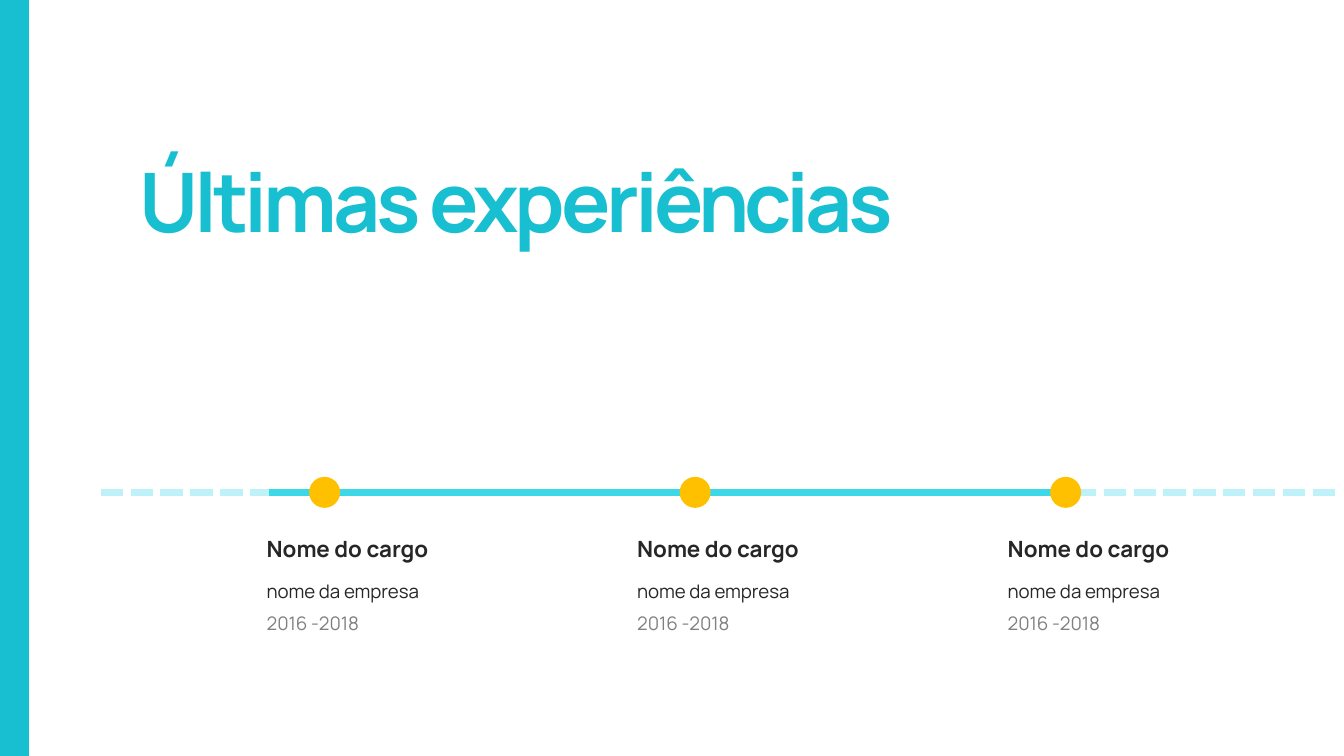
import pptx
import pptx.dml.color
import pptx.enum.dml
import pptx.enum.shapes
import pptx.enum.text
import pptx.oxml.ns
import pptx.util
from lxml import etree

TITLE = "Últimas experiências"
EXPERIENCES = [
    ("Nome do cargo", "nome da empresa", "2016 -2018"),
    ("Nome do cargo", "nome da empresa", "2016 -2018"),
    ("Nome do cargo", "nome da empresa", "2016 -2018"),
]
THEME = {
    "font": "Manrope",
    "accent": "18BFD1", "line": "3CD8E8", "faded": "BEF2F8", "dot": "FFC000",
    "text": "262626", "muted": "808080",
    "title_size": 44, "role_size": 12, "detail_size": 10,
}
# top, width, height, size, colour, bold
ROWS = [
    (276.5, 138, 27.4, "role_size", "text", True),
    (301.6, 125, 23.8, "detail_size", "text", False),
    (319, 125, 23.8, "detail_size", "muted", False),
]
SEGMENTS = [(575.3, 718.6, "faded", True), (54, 144, "faded", True), (144, 571, "line", False)]
AXIS_Y, PITCH, TEXT_LEFT, DOT_CENTER, DOT_SIZE = 263.8, 198.5, 135.8, 173.9, 16.6


def color(name):
    """Return a theme colour."""
    return pptx.dml.color.RGBColor.from_string(THEME[name])


def add_text(slide, text, box, size, fill, bold, line_spacing=1.0, tracking=None):
    """Add a one-paragraph text box."""
    frame = slide.shapes.add_textbox(*map(pptx.util.Pt, box)).text_frame
    frame.word_wrap = True
    frame.auto_size = pptx.enum.text.MSO_AUTO_SIZE.SHAPE_TO_FIT_TEXT
    frame.vertical_anchor = pptx.enum.text.MSO_ANCHOR.MIDDLE
    paragraph = frame.paragraphs[0]
    run = paragraph.add_run()
    run.text = text
    paragraph.line_spacing = line_spacing
    font = paragraph.font
    font.name, font.size, font.bold = THEME["font"], pptx.util.Pt(THEME[size]), bold
    font.color.rgb = color(fill)
    if tracking is not None:
        run._r.get_or_add_rPr().set("spc", str(round(tracking * 100)))


def add_shape(slide, kind, box, fill):
    """Add a filled shape without outline or shadow."""
    shape = slide.shapes.add_shape(kind, *map(pptx.util.Pt, box))
    shape.shadow.inherit = False
    shape.fill.solid()
    shape.fill.fore_color.rgb = color(fill)
    shape.line.fill.background()


def add_segment(slide, start, end, stroke, dashed):
    """Add one horizontal piece of the timeline."""
    connector = slide.shapes.add_connector(
        pptx.enum.shapes.MSO_CONNECTOR.STRAIGHT,
        *map(pptx.util.Pt, (start, AXIS_Y, end, AXIS_Y)))
    connector.line.width = pptx.util.Pt(4)
    connector.line.color.rgb = color(stroke)
    if dashed:
        connector.line.dash_style = pptx.enum.dml.MSO_LINE.SQUARE_DOT
        connector.line._ln.find(pptx.oxml.ns.qn("a:prstDash")).set("val", "sysDash")
    etree.SubElement(connector._element.spPr, pptx.oxml.ns.qn("a:effectLst"))


def main():
    """Build the timeline slide."""
    presentation = pptx.Presentation()
    presentation.slide_width = pptx.util.Pt(720)
    presentation.slide_height = pptx.util.Pt(405)
    slide = presentation.slides.add_slide(presentation.slide_layouts[6])
    kinds = pptx.enum.shapes.MSO_SHAPE
    for segment in SEGMENTS:
        add_segment(slide, *segment)
    for index, texts in enumerate(EXPERIENCES):
        offset = index * PITCH
        dot_left = DOT_CENTER + offset - DOT_SIZE / 2
        add_shape(slide, kinds.OVAL, (dot_left, AXIS_Y - DOT_SIZE / 2, DOT_SIZE, DOT_SIZE), "dot")
        for text, (top, width, height, size, fill, bold) in zip(texts, ROWS):
            box = (TEXT_LEFT + offset, top, width, height)
            add_text(slide, text, box, size, fill, bold, line_spacing=1.5)
    add_text(slide, TITLE, (67.7, 77, 522.7, 60.5), "title_size", "accent", True, tracking=-2.2)
    add_shape(slide, kinds.RECTANGLE, (0, 0, 15.6, 405), "accent")
    presentation.save("out.pptx")


if __name__ == "__main__":
    main()
